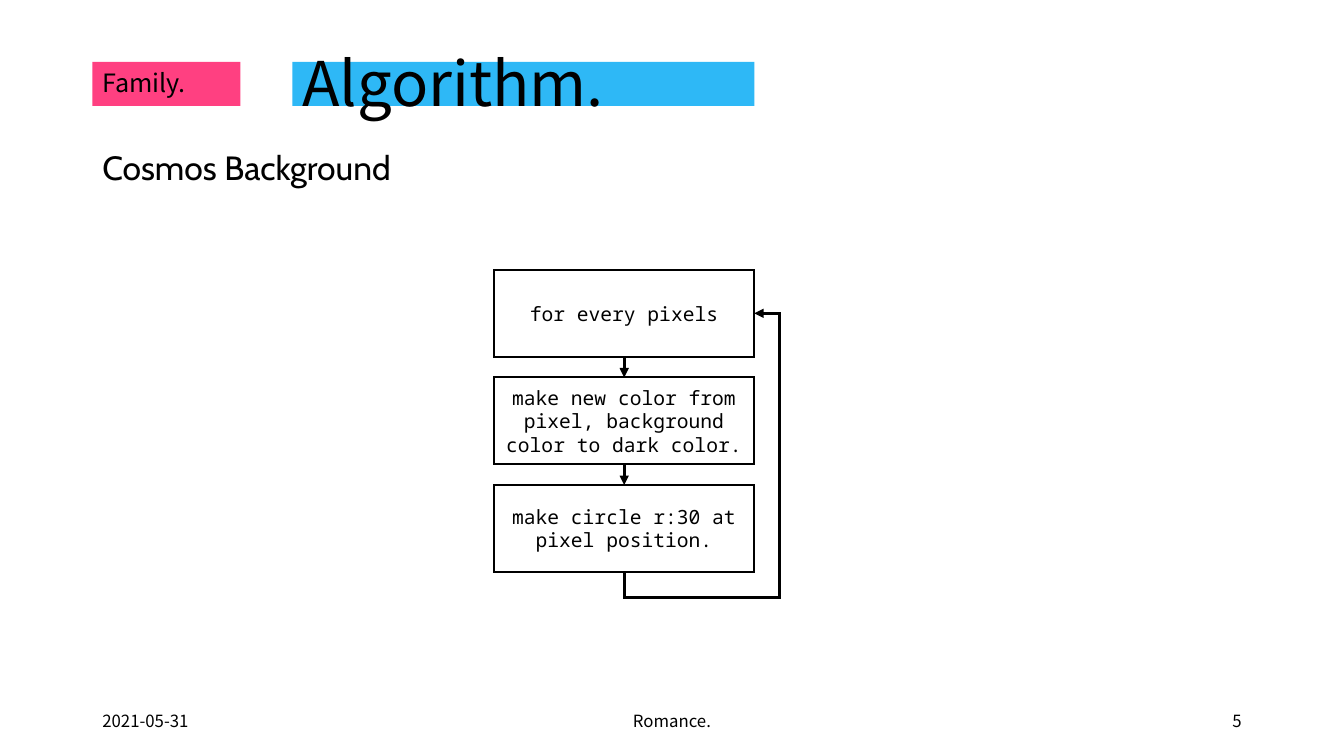
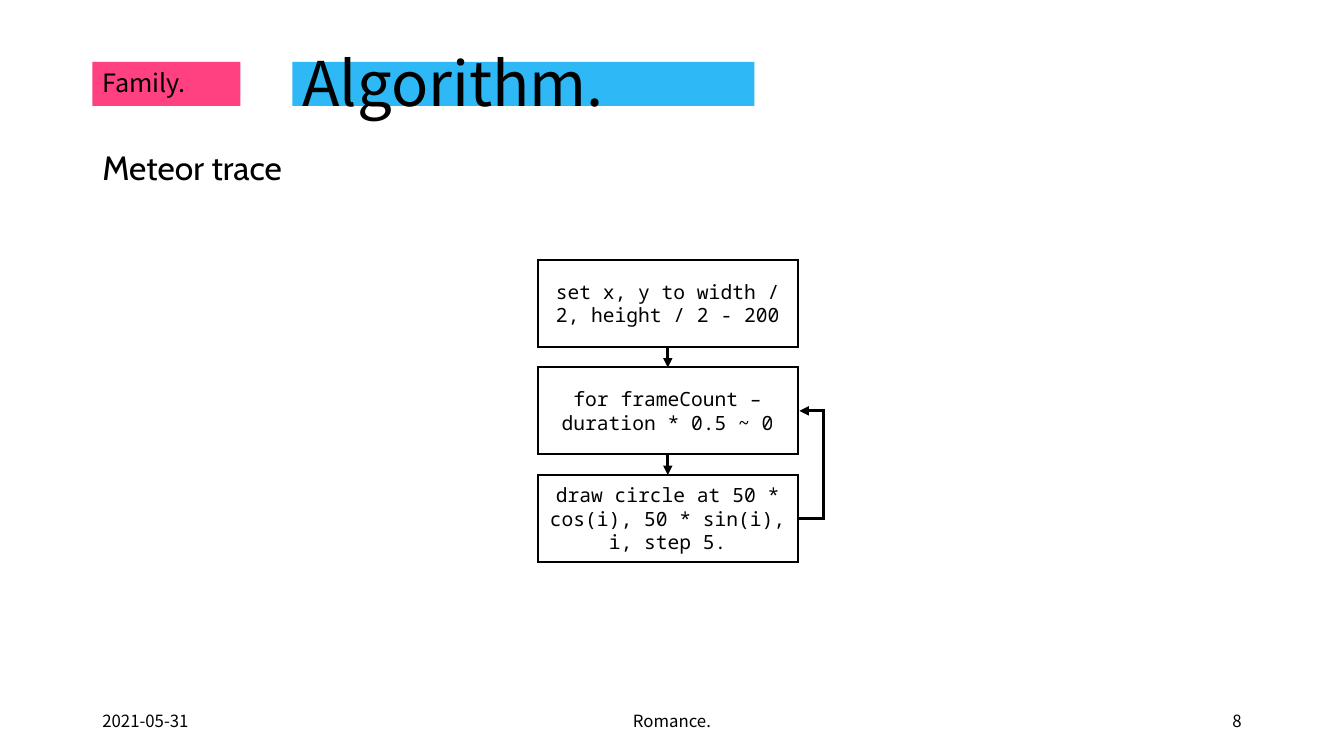
"""Build two algorithm slides, each with a looping flow chart."""
from lxml.etree import SubElement
from pptx import Presentation
from pptx.dml.color import RGBColor
from pptx.enum.shapes import MSO_CONNECTOR as Link, MSO_SHAPE as Preset
from pptx.enum.text import MSO_ANCHOR as Anchor, PP_ALIGN as Align
from pptx.oxml.ns import qn
from pptx.util import Cm, Emu, Pt

COLORS = {"pink": "FF4081", "blue": "2EB8F6", "white": "FFFFFF", "black": "000000"}
SANS = "Noto Sans CJK KR"
STYLES = {
    "title": {"name": SANS, "size": Pt(44)},
    "section": {"name": SANS, "size": Pt(18)},
    "footer": {"name": SANS, "size": Pt(12)},
    "heading": {"name": "Cabin", "size": Pt(24)},
    "step": {"name": "Noto Sans Mono", "size": Pt(14)},
}

SLIDES = [
    {
        "heading": "Cosmos Background",
        "number": "5",
        "origin": (12.45, 6.8),
        "steps": [
            "for every pixels",
            "make new color from pixel, background color to dark color.",
            "make circle r:30 at pixel position.",
        ],
        "loop_to": 0,
        "loop_from_bottom": True,
    },
    {
        "heading": "Meteor trace",
        "number": "8",
        "origin": (13.55, 6.55),
        "steps": [
            "set x, y to width / 2, height / 2 - 200",
            "for frameCount – duration * 0.5 ~ 0",
            "draw circle at 50 * cos(i), 50 * sin(i), i, step 5.",
        ],
        "loop_to": 1,
        "loop_from_bottom": False,
    },
]

SLIDE_SIZE = (33.87, 19.05)
MARGIN, TITLE_LEFT = 2.33, 7.37
BANDS = [("pink", MARGIN, 3.73), ("blue", TITLE_LEFT, 11.64)]
BAND_TOP, BAND_HEIGHT = 1.56, 1.11
HEADER_TOP, HEADER_HEIGHT = 1.01, 2.33
FOOTER_TOP, FOOTER_HEIGHT = 17.65, 1.01
STEP_WIDTH, STEP_HEIGHT, STEP_PITCH = 6.56, 2.19, 2.71
LOOP_REACH = Cm(0.64)
TOP, BOTTOM, RIGHT = 0, 2, 3


def color(name):
    return RGBColor.from_string(COLORS[name])


def write(shape, text, style, align=Align.LEFT, anchor=Anchor.MIDDLE, wrap=True, spacing=None):
    frame = shape.text_frame
    frame.word_wrap = wrap
    frame.vertical_anchor = anchor
    para = frame.paragraphs[0]
    para.alignment = align
    if spacing:
        para.line_spacing = spacing
    span = para.add_run()
    span.text = text
    for key, value in STYLES[style].items():
        setattr(span.font, key, value)
    span.font.color.rgb = color("black")


def add_text(page, area, text, style, **options):
    write(page.shapes.add_textbox(*map(Cm, area)), text, style, **options)


def stroke(shape, width):
    shape.line.color.rgb = color("black")
    shape.line.width = Pt(width)
    outline = shape._element.spPr.find(qn("a:ln"))
    SubElement(outline, qn("a:miter"), lim="800000")
    return outline


def add_box(page, preset, area, fill, outlined=False):
    box = page.shapes.add_shape(preset, *map(Cm, area))
    box.shadow.inherit = False
    box.fill.solid()
    box.fill.fore_color.rgb = color(fill)
    if outlined:
        stroke(box, 1.5)
    else:
        box.line.fill.background()
    return box


def add_arrow(page, kind, start, start_side, end, end_side):
    arrow = page.shapes.add_connector(kind, 0, 0, 0, 0)
    arrow.begin_connect(start, start_side)
    arrow.end_connect(end, end_side)
    SubElement(stroke(arrow, 2.25), qn("a:tailEnd"), type="triangle")
    SubElement(arrow._element.spPr, qn("a:effectLst"))
    return arrow


def bend(arrow, preset, transform, origin, size, adjustments):
    properties = arrow._element.spPr
    frame = properties.find(qn("a:xfrm"))
    for key, value in transform.items():
        frame.set(key, value)
    for tag, names, values in (("a:off", "x y", origin), ("a:ext", "cx cy", size)):
        for name, value in zip(names.split(), values):
            frame.find(qn(tag)).set(name, str(int(value)))
    geometry = properties.find(qn("a:prstGeom"))
    geometry.set("prst", preset)
    guides = geometry.find(qn("a:avLst"))
    if guides is None:
        guides = SubElement(geometry, qn("a:avLst"))
    for index, ratio in enumerate(adjustments, 1):
        SubElement(guides, qn("a:gd"), name=f"adj{index}", fmla=f"val {round(ratio * 100000)}")


def add_loop(page, last, target, from_bottom):
    arrow = add_arrow(page, Link.ELBOW, last, BOTTOM if from_bottom else RIGHT, target, RIGHT)
    left, top = min(arrow.begin_x, arrow.end_x), arrow.end_y
    run, rise = abs(arrow.end_x - arrow.begin_x), arrow.begin_y - arrow.end_y
    if from_bottom:
        origin = (left + (run - rise) / 2, top + (rise - run) / 2)
        turned = {"rot": "5400000", "flipH": "1", "flipV": "1"}
        ratios = (-LOOP_REACH / rise, 1 + LOOP_REACH / run)
        bend(arrow, "bentConnector4", turned, origin, (rise, run), ratios)
    else:
        run = Emu(12700)
        upward = {"flipH": "0", "flipV": "1"}
        bend(arrow, "bentConnector3", upward, (left, top), (run, rise), (LOOP_REACH / run,))


def add_common(page, number):
    for fill, left, width in BANDS:
        add_box(page, Preset.RECTANGLE, (left, BAND_TOP, width, BAND_HEIGHT), fill)
    add_text(page, (TITLE_LEFT, HEADER_TOP, 24.16, HEADER_HEIGHT), "Algorithm.", "title", spacing=0.9)
    add_text(page, (MARGIN, HEADER_TOP, 4.62, HEADER_HEIGHT), "Family.", "section", spacing=0.7)
    footers = [
        ("2021-05-31", MARGIN, 7.62, Align.LEFT),
        ("Romance.", 11.22, 11.43, Align.CENTER),
        (number, 23.92, 7.62, Align.RIGHT),
    ]
    for text, left, width, align in footers:
        add_text(page, (left, FOOTER_TOP, width, FOOTER_HEIGHT), text, "footer", align=align)


def add_flow(page, content):
    left, top = content["origin"]
    boxes = []
    for index, text in enumerate(content["steps"]):
        area = (left, top + index * STEP_PITCH, STEP_WIDTH, STEP_HEIGHT)
        box = add_box(page, Preset.FLOWCHART_PROCESS, area, "white", outlined=True)
        write(box, text, "step", align=Align.CENTER)
        boxes.append(box)
    for upper, lower in zip(boxes, boxes[1:]):
        add_arrow(page, Link.STRAIGHT, upper, BOTTOM, lower, TOP)
    add_loop(page, boxes[-1], boxes[content["loop_to"]], content["loop_from_bottom"])


def main():
    deck = Presentation()
    deck.slide_width, deck.slide_height = map(Cm, SLIDE_SIZE)
    for content in SLIDES:
        page = deck.slides.add_slide(deck.slide_layouts[6])
        add_common(page, content["number"])
        add_text(page, (MARGIN, 3.58, 8.3, 1.28), content["heading"], "heading",
                 anchor=Anchor.TOP, wrap=False)
        add_flow(page, content)
    deck.save("out.pptx")


if __name__ == "__main__":
    main()
